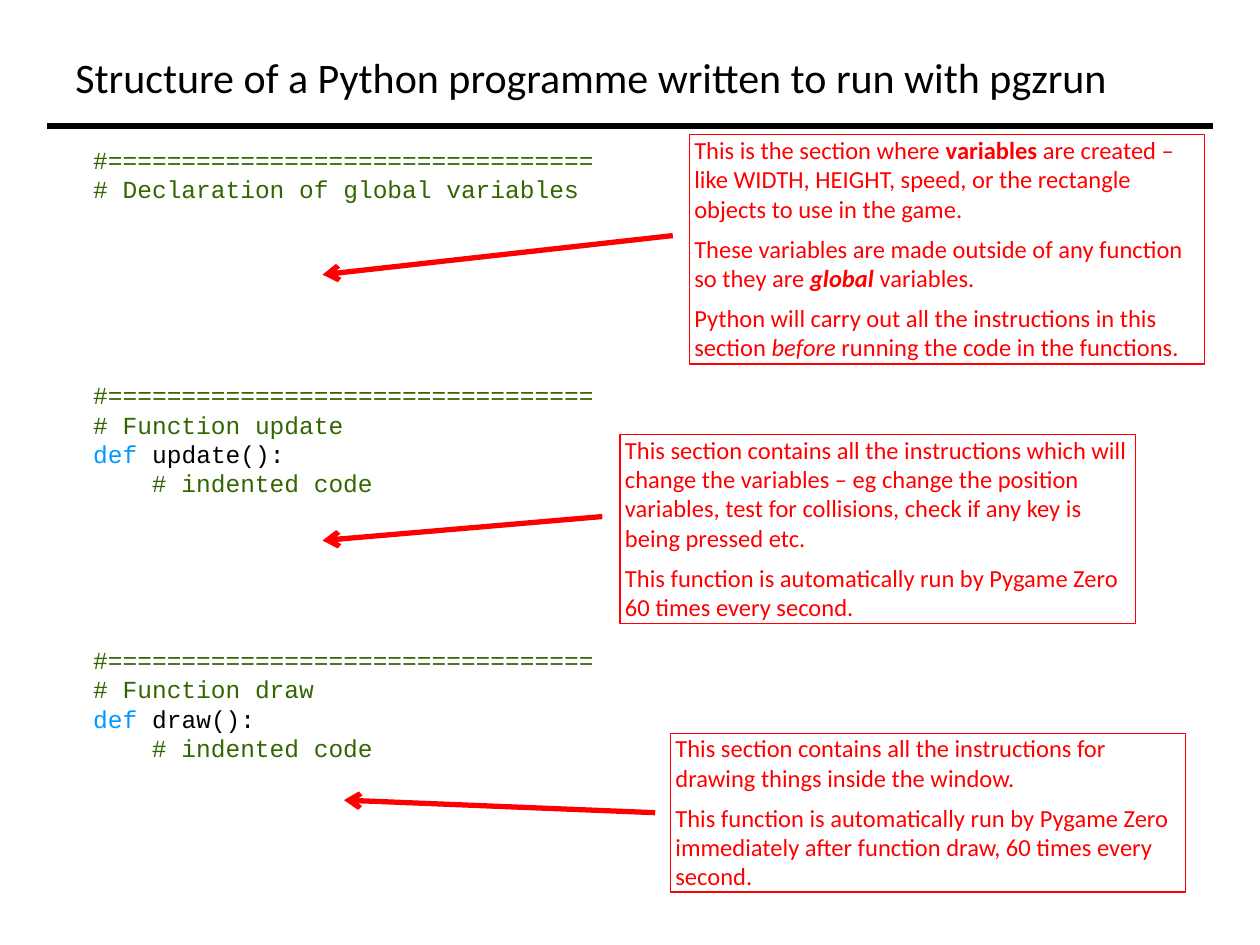
from dataclasses import dataclass

from lxml.etree import SubElement as Sub
from pptx import Presentation
from pptx.dml.color import RGBColor as Rgb
from pptx.enum.shapes import MSO_CONNECTOR as Conn, MSO_SHAPE as Kind
from pptx.enum.text import MSO_ANCHOR as Anchor, MSO_AUTO_SIZE as Fit, PP_ALIGN as Align
from pptx.oxml.ns import qn
from pptx.util import Inches, Pt


@dataclass(frozen=True)
class Theme:
    """Colours, fonts and type sizes of the slide."""
    ink: Rgb = Rgb(0, 0, 0)
    red: Rgb = Rgb(0xFF, 0, 0)
    green: Rgb = Rgb(0x33, 0x66, 0)
    blue: Rgb = Rgb(0, 0x99, 0xFF)
    sans: str = "Calibri"
    mono: str = "Courier New"
    title: float = 24
    body: float = 14
    pitch: float = 16.8
    gap: float = 6


T = Theme()
RULE = "#" + "=" * 33

# Blank lines above each block, then its lines: (indent in characters, runs)
CODE = [
    (0, [(0, [(RULE, T.green)]),
         (0, [("# Declaration of global variables", T.green)])]),
] + [
    (gap, [(0, [(RULE, T.green)]),
           (0, [(f"# Function {name}", T.green)]),
           (0, [("def", T.blue), (f" {name}():", T.ink)]),
           (4, [("# indented code", T.green)])])
    for gap, name in ((6, "update"), (5, "draw"))
]

# Box, arrow ends, paragraphs; a run is (text, style), style b and/or i
NOTES = [
    ((5.47, 1.07, 4.09, 1.82), (5.34, 1.87, 2.56, 2.18), [
        [("This is the section where ", ""), ("variables", "b"),
         (" are created – like WIDTH, HEIGHT, speed, or the rectangle "
          "objects to use in the game.", "")],
        [("These variables are made outside of any function so they are ", ""),
         ("global", "bi"), (" variables.", "")],
        [("Python will carry out all the instructions in this section ", ""),
         ("before", "i"), (" running the code in the functions.", "")]]),
    ((4.92, 3.45, 4.09, 1.5), (4.78, 4.1, 2.56, 4.29), [
        [("This section contains all the instructions which will change the "
          "variables – eg change the position variables, test for collisions, "
          "check if any key is being pressed etc.", "")],
        [("This function is automatically run by Pygame Zero 60 times "
          "every second.", "")]]),
    ((5.32, 5.82, 4.09, 1.26), (5.2, 6.45, 2.73, 6.35), [
        [("This section contains all the instructions for drawing things "
          "inside the window.", "")],
        [("This function is automatically run by Pygame Zero immediately "
          "after function draw, 60 times every second.", "")]]),
]


def style(font, name, size, color=None):
    """Set the face, size and colour of a font."""
    font.name, font.size = name, Pt(size)
    if color is not None:
        font.color.rgb = color


def inset(frame):
    """Give a frame narrow side margins and none above or below."""
    frame.margin_left = frame.margin_right = Inches(0.04)
    frame.margin_top = frame.margin_bottom = 0


def paras(frame, count):
    """Return the first paragraph of a frame and enough new ones."""
    return [frame.paragraphs[0]] + [frame.add_paragraph() for _ in range(count - 1)]


def add_line(slide, ends, color, arrow=False):
    """Draw a straight line, with an arrowhead at its end if asked."""
    line = slide.shapes.add_connector(Conn.STRAIGHT, *map(Inches, ends))
    line.line.color.rgb, line.line.width = color, Pt(3)
    if arrow:
        Sub(line.line._get_or_add_ln(), qn("a:tailEnd"), type="arrow")
    Sub(line._element.spPr, qn("a:effectLst"))


def add_title(slide, text):
    """Write the slide title."""
    frame = slide.shapes.add_textbox(*map(Inches, (0.5, 0.36, 9, 0.5))).text_frame
    frame.word_wrap, frame.vertical_anchor = True, Anchor.MIDDLE
    frame.text = text
    style(frame.paragraphs[0].font, T.sans, T.title, T.ink)


def add_code(slide, box, blocks):
    """Write the code blocks, parted by space above each block."""
    frame = slide.shapes.add_textbox(*map(Inches, box)).text_frame
    frame.word_wrap = False
    inset(frame)
    lines = [(gap if row == 0 else 0, *line)
             for gap, block in blocks for row, line in enumerate(block)]
    for para, (gap, dent, runs) in zip(paras(frame, len(lines)), lines):
        para.line_spacing, para.space_before = Pt(T.pitch), Pt(gap * T.pitch)
        style(para.font, T.mono, T.body)
        if dent:
            props = para._p.get_or_add_pPr()
            props.set("marL", str(Pt(dent * 0.6 * T.body)))
            props.set("indent", "0")
        for text, color in runs:
            run = para.add_run()
            run.text, run.font.color.rgb = text, color


def add_note(slide, box, texts):
    """Draw a red outlined box with its paragraphs."""
    note = slide.shapes.add_shape(Kind.RECTANGLE, *map(Inches, box))
    note.shadow.inherit = False
    note.fill.background()
    note.line.color.rgb, note.line.width = T.red, Pt(0.75)
    frame = note.text_frame
    frame.word_wrap, frame.auto_size = True, Fit.SHAPE_TO_FIT_TEXT
    frame.vertical_anchor = Anchor.TOP
    inset(frame)
    for para, runs in zip(paras(frame, len(texts)), texts):
        para.alignment, para.space_before = Align.LEFT, Pt(T.gap)
        style(para.font, T.sans, T.body, T.red)
        for text, marks in runs:
            run = para.add_run()
            run.text = text
            if "b" in marks:
                run.font.bold = True
            if "i" in marks:
                run.font.italic = True


def main():
    """Build the slide and save it."""
    deck = Presentation()
    deck.slide_width, deck.slide_height = Inches(10), Inches(7.5)
    slide = deck.slides.add_slide(deck.slide_layouts[6])
    add_line(slide, (0.37, 1, 9.63, 1), T.ink)
    add_code(slide, (0.7, 1.15, 4.07, 5.89), CODE)
    for box, ends, texts in NOTES:
        add_line(slide, ends, T.red, arrow=True)
        add_note(slide, box, texts)
    add_title(slide, "Structure of a Python programme written to run with pgzrun")
    deck.save("out.pptx")


main()
